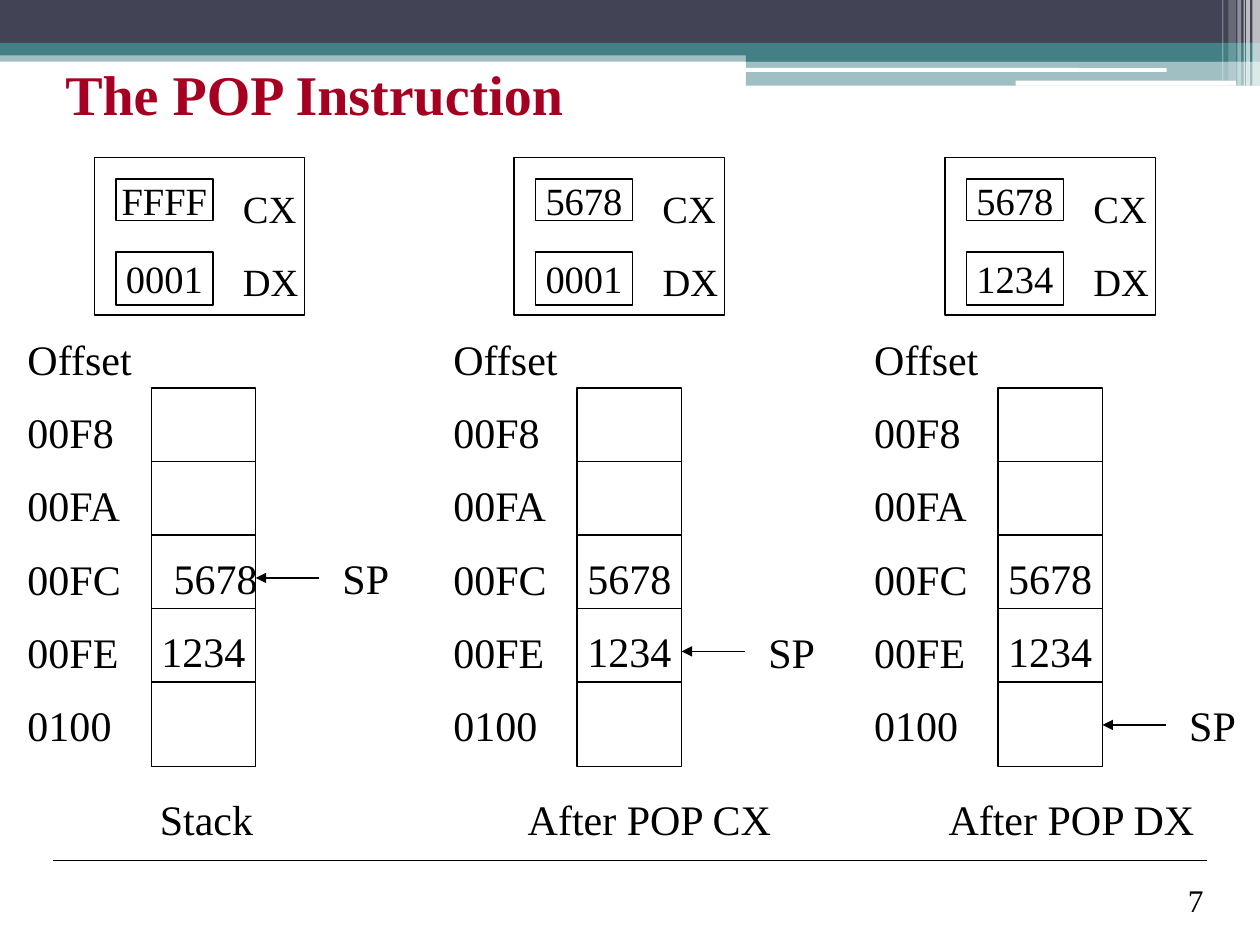
import dataclasses

import lxml.etree
import pptx
import pptx.dml.color
import pptx.enum.shapes
import pptx.enum.text
import pptx.oxml.ns
import pptx.util

Inches = pptx.util.Inches
Pt = pptx.util.Pt
qn = pptx.oxml.ns.qn
Shape = pptx.enum.shapes.MSO_SHAPE
Align = pptx.enum.text.PP_ALIGN
Anchor = pptx.enum.text.MSO_ANCHOR
AutoSize = pptx.enum.text.MSO_AUTO_SIZE


@dataclasses.dataclass(frozen=True)
class Theme:
    font: str = "Times New Roman"
    ink: str = "000000"
    paper: str = "FFFFFF"
    navy: str = "424456"
    teal: str = "438086"
    red: str = "A50021"
    title: int = 32
    stack: int = 24
    register: int = 22
    number: int = 18
    line: float = 0.74


@dataclasses.dataclass(frozen=True)
class State:
    caption: str
    caption_left: float
    caption_width: float
    left: float
    registers_left: float
    cx: str
    dx: str
    sp_row: int
    popped_shift: float = 0


THEME = Theme()
OFFSETS = ["00F8", "00FA", "00FC", "00FE", "0100"]
CELLS = ["", "", "5678", "1234", ""]
CELL_TOP, CELL_PITCH = 3.08, 7 / 12
CELL_WIDTH, CELL_HEIGHT = 0.83, 0.67
STATES = [
    State("Stack", 1.17, 0.94, 0.12, 0.75, "FFFF", "0001", 2, 0.08),
    State("After POP CX", 4.09, 2.14, 3.5, 4.08, "5678", "0001", 3),
    State("After POP DX", 7.43, 2.16, 6.84, 7.5, "5678", "1234", 4),
]
# Header bands: left, top, width, height, colour, opacity in percent, shape
BANDS = [
    (0, 0.4, 10, 0.09, THEME.teal, 50, Shape.RECTANGLE),
    (0, 0, 10, 0.34, THEME.navy, 100, Shape.RECTANGLE),
    (0, 0.34, 10, 0.1, THEME.teal, 100, Shape.RECTANGLE),
    (5.92, 0.39, 4.08, 0.1, THEME.teal, 100, Shape.RECTANGLE),
    (5.92, 0.48, 4.08, 0.2, THEME.teal, 50, Shape.RECTANGLE),
    (5.91, 0.54, 3.35, 0.03, THEME.paper, 100, Shape.ROUNDED_RECTANGLE),
    (8.06, 0.64, 1.75, 0.04, THEME.paper, 100, Shape.ROUNDED_RECTANGLE),
]
# Stripes at the right end: left, width, height, opacity in percent
STRIPES = [
    (9.94, 0.06, 0.68, 65), (9.89, 0.03, 0.68, 65), (9.87, 0.01, 0.68, 60),
    (9.82, 0.03, 0.68, 40), (9.75, 0.06, 0.64, 20), (9.7, 0.01, 0.64, 30),
]


def rgb(color):
    return pptx.dml.color.RGBColor.from_string(color)


def write(frame, lines, size, color=THEME.ink, bold=False, align=Align.LEFT,
          spacing=None, wrap=False):
    frame.word_wrap = wrap
    for index, line in enumerate(lines):
        paragraph = frame.add_paragraph() if index else frame.paragraphs[0]
        paragraph.alignment = align
        if spacing:
            paragraph.line_spacing = spacing
        run = paragraph.add_run()
        run.text = line
        run.font.name = THEME.font
        run.font.size = Pt(size)
        run.font.bold = bold
        run.font.color.rgb = rgb(color)


def add_label(shapes, left, top, width, height, lines, size, **style):
    label = shapes.add_textbox(Inches(left), Inches(top), Inches(width), Inches(height))
    label.text_frame.auto_size = AutoSize.SHAPE_TO_FIT_TEXT
    write(label.text_frame, lines, size, **style)


def add_band(shapes, left, top, width, height, color, opacity, kind=Shape.RECTANGLE):
    band = shapes.add_shape(kind, Inches(left), Inches(top), Inches(width), Inches(height))
    band.shadow.inherit = False
    band.line.fill.background()
    band.fill.solid()
    band.fill.fore_color.rgb = rgb(color)
    if opacity < 100:
        tint = band.fill._xPr.find(qn("a:solidFill"))[0]
        lxml.etree.SubElement(tint, qn("a:alpha")).set("val", str(opacity * 1000))


def add_box(shapes, left, top, width, height, value="", size=THEME.stack):
    box = shapes.add_shape(Shape.RECTANGLE, Inches(left), Inches(top),
                           Inches(width), Inches(height))
    box.shadow.inherit = False
    box.fill.solid()
    box.fill.fore_color.rgb = rgb(THEME.paper)
    box.line.color.rgb = rgb(THEME.ink)
    box.line.width = Pt(THEME.line)
    if value:
        box.text_frame.vertical_anchor = Anchor.MIDDLE
        write(box.text_frame, [value], size, align=Align.CENTER)


def add_line(shapes, start, end, y, arrow=False):
    line = shapes.add_connector(pptx.enum.shapes.MSO_CONNECTOR.STRAIGHT,
                                Inches(start), Inches(y), Inches(end), Inches(y))
    line.line.color.rgb = rgb(THEME.ink)
    line.line.width = Pt(THEME.line)
    if arrow:
        head = lxml.etree.SubElement(line.line._get_or_add_ln(), qn("a:tailEnd"))
        head.set("type", "triangle")
    lxml.etree.SubElement(line._element.spPr, qn("a:effectLst"))


def add_registers(shapes, state):
    left = state.registers_left
    add_box(shapes, left, 1.25, 1.67, 1.25)
    for name, value, top, height, name_width in (("CX", state.cx, 1.42, 0.33, 0.63),
                                                 ("DX", state.dx, 2, 0.42, 0.65)):
        add_box(shapes, left + 0.17, top, 0.77, height, value, THEME.register)
        add_label(shapes, left + 1.08, top, name_width, 0.47, [name], THEME.register)


def add_stack(shapes, state):
    cell_left = state.left + 1.08
    for row, value in enumerate(CELLS):
        top = CELL_TOP + row * CELL_PITCH
        # The value about to be popped may sit off centre, as a label over its cell
        shifted = value == "5678" and state.popped_shift
        add_box(shapes, cell_left, top, CELL_WIDTH, CELL_HEIGHT, "" if shifted else value)
    add_label(shapes, state.left, 2.42, 1.2, 3.58, ["Offset"] + OFFSETS,
              THEME.stack, spacing=1.45, wrap=True)
    add_label(shapes, state.caption_left, 6.25, state.caption_width, 0.5,
              [state.caption], THEME.stack)

    # Stack pointer
    sp_top = CELL_TOP + state.sp_row * CELL_PITCH
    cell_right = cell_left + CELL_WIDTH
    add_line(shapes, cell_right + 0.5, cell_right, sp_top + 0.34, arrow=True)
    add_label(shapes, cell_right + 0.59, sp_top + 0.09, 0.57, 0.5, ["SP"], THEME.stack)
    if state.popped_shift:
        add_label(shapes, cell_left + state.popped_shift, sp_top + 0.09, 0.87, 0.5,
                  ["5678"], THEME.stack)


def main():
    deck = pptx.Presentation()
    deck.slide_width, deck.slide_height = Inches(10), Inches(7.5)
    slide = deck.slides.add_slide(deck.slide_layouts[6])

    # Header decoration
    for band in BANDS:
        add_band(slide.shapes, *band)
    for left, width, height, opacity in STRIPES:
        add_band(slide.shapes, left, 0, width, height, THEME.paper, opacity)

    # Title, footer rule and slide number
    add_line(slide.shapes, 0.42, 9.58, 6.83)
    add_label(slide.shapes, 9.33, 6.94, 0.25, 0.4, ["7"], THEME.number, wrap=True)
    add_label(slide.shapes, 0.42, 0.42, 9.17, 1.17, ["The POP Instruction"],
              THEME.title, color=THEME.red, bold=True, wrap=True)

    # Registers and stack before and after each POP
    for state in STATES:
        group = slide.shapes.add_group_shape()
        add_stack(group.shapes, state)
        add_registers(group.shapes, state)

    deck.save("out.pptx")


main()
